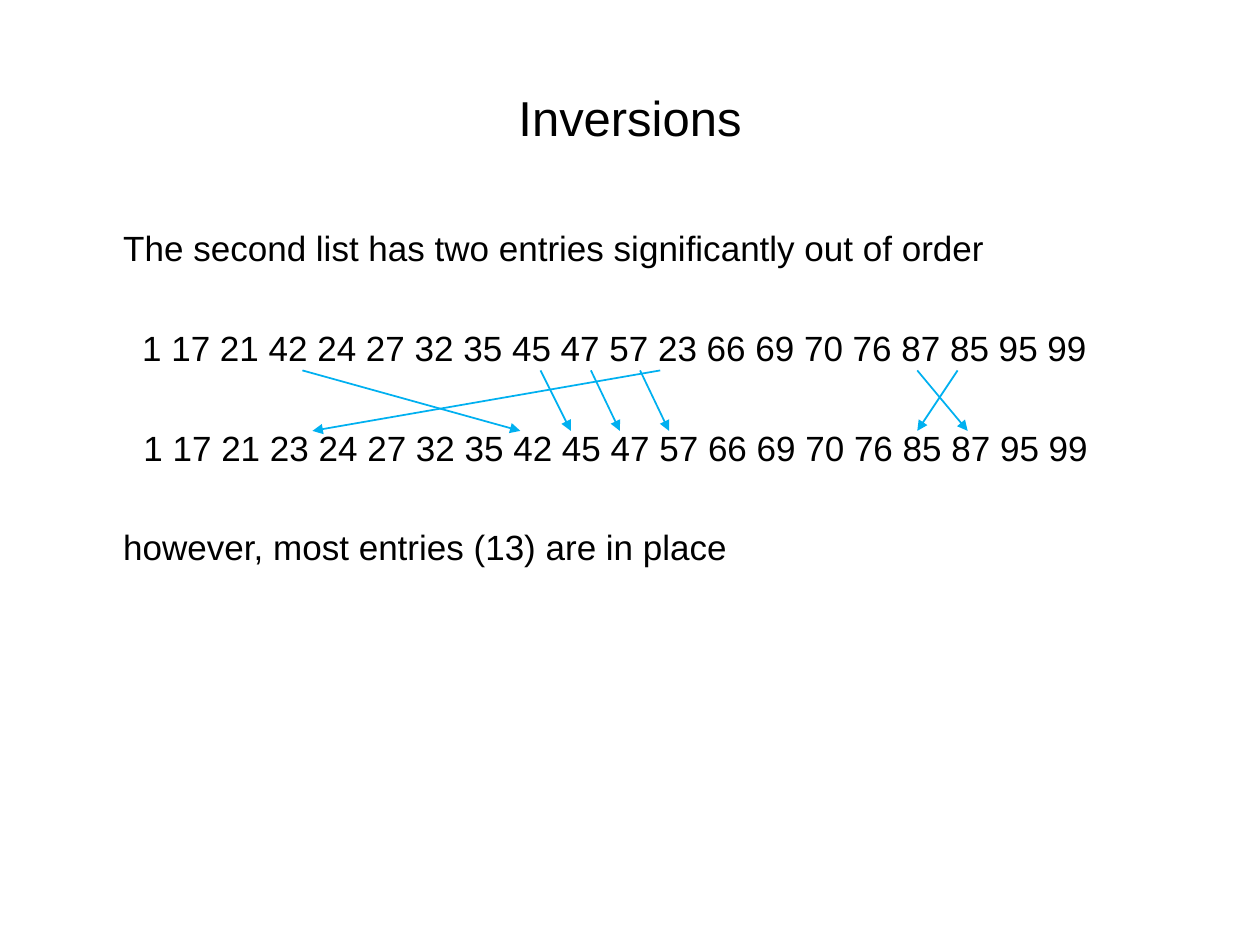
from lxml import etree
from pptx import Presentation
from pptx.dml.color import RGBColor
from pptx.enum import shapes, text
from pptx.oxml.ns import qn
from pptx.util import Inches, Pt

BLACK = "000000"
BLUE = "00B0F0"
TOP, BOTTOM = 2.94, 3.42
LINES = [
    ("The second list has two entries significantly out of order", 0.38),
    ("1 17 21 42 24 27 32 35 45 47 57 23 66 69 70 76 87 85 95 99", 0.53),
    ("1 17 21 23 24 27 32 35 42 45 47 57 66 69 70 76 85 87 95 99", 0.54),
    ("however, most entries (13) are in place", 0.38),
]
MOVES = [(4.69, 4.92), (2.4, 4.13), (5.24, 2.48), (7.6, 7.28),
         (7.28, 7.68), (5.08, 5.31), (4.29, 4.53)]


def color(value):
    return RGBColor.from_string(value)


def style(para, size):
    para.font.name = "Arial"
    para.font.size = Pt(size)
    para.font.color.rgb = color(BLACK)


def add_title(slide, words):
    title = slide.shapes.title
    title.left, title.top = Inches(0.5), Inches(0.3)
    title.width, title.height = Inches(9), Inches(1.25)
    frame = title.text_frame
    frame.text = words
    frame.vertical_anchor = text.MSO_ANCHOR.MIDDLE
    para = frame.paragraphs[0]
    para.alignment = text.PP_ALIGN.CENTER
    style(para, 28)


def add_body(slide, lines):
    box = slide.shapes.add_textbox(Inches(0.5), Inches(1.75), Inches(9), Inches(4.95))
    frame = box.text_frame
    frame.word_wrap = True
    for row, (words, indent) in enumerate(lines):
        para = frame.add_paragraph() if row else frame.paragraphs[0]
        para.text = words
        para.space_before = Pt(33 if row else 4)
        para._p.get_or_add_pPr().set("marL", str(Inches(indent)))
        style(para, 20)


def add_arrow(slide, start, end):
    arrow = slide.shapes.add_connector(
        shapes.MSO_CONNECTOR.STRAIGHT,
        Inches(start), Inches(TOP), Inches(end), Inches(BOTTOM))
    arrow.line.color.rgb = color(BLUE)
    arrow.line.width = Pt(1)
    etree.SubElement(arrow.line._get_or_add_ln(), qn("a:tailEnd"), type="triangle")
    etree.SubElement(arrow._element.spPr, qn("a:effectLst"))


def main():
    deck = Presentation()
    deck.slide_width, deck.slide_height = Inches(10), Inches(7.5)
    slide = deck.slides.add_slide(deck.slide_layouts[5])
    add_title(slide, "Inversions")
    add_body(slide, LINES)
    for start, end in MOVES:
        add_arrow(slide, start, end)
    deck.save("out.pptx")


if __name__ == "__main__":
    main()
